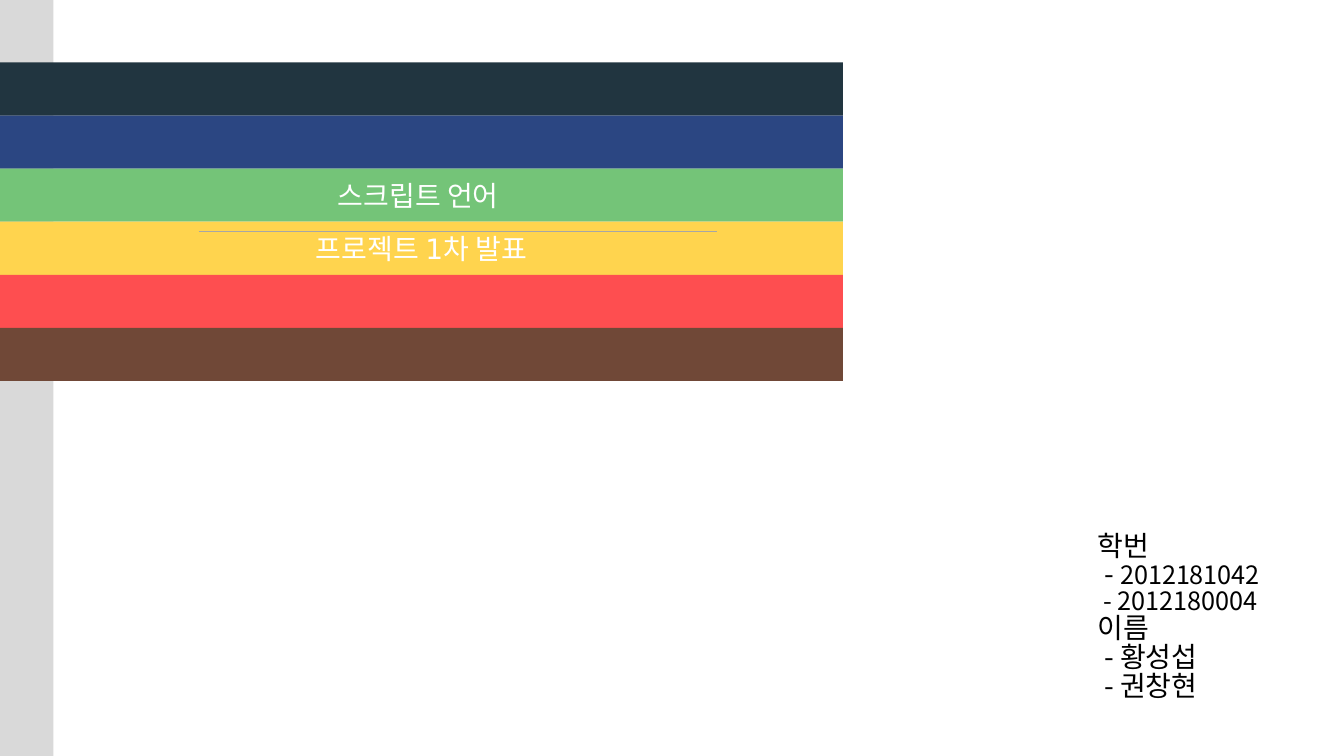
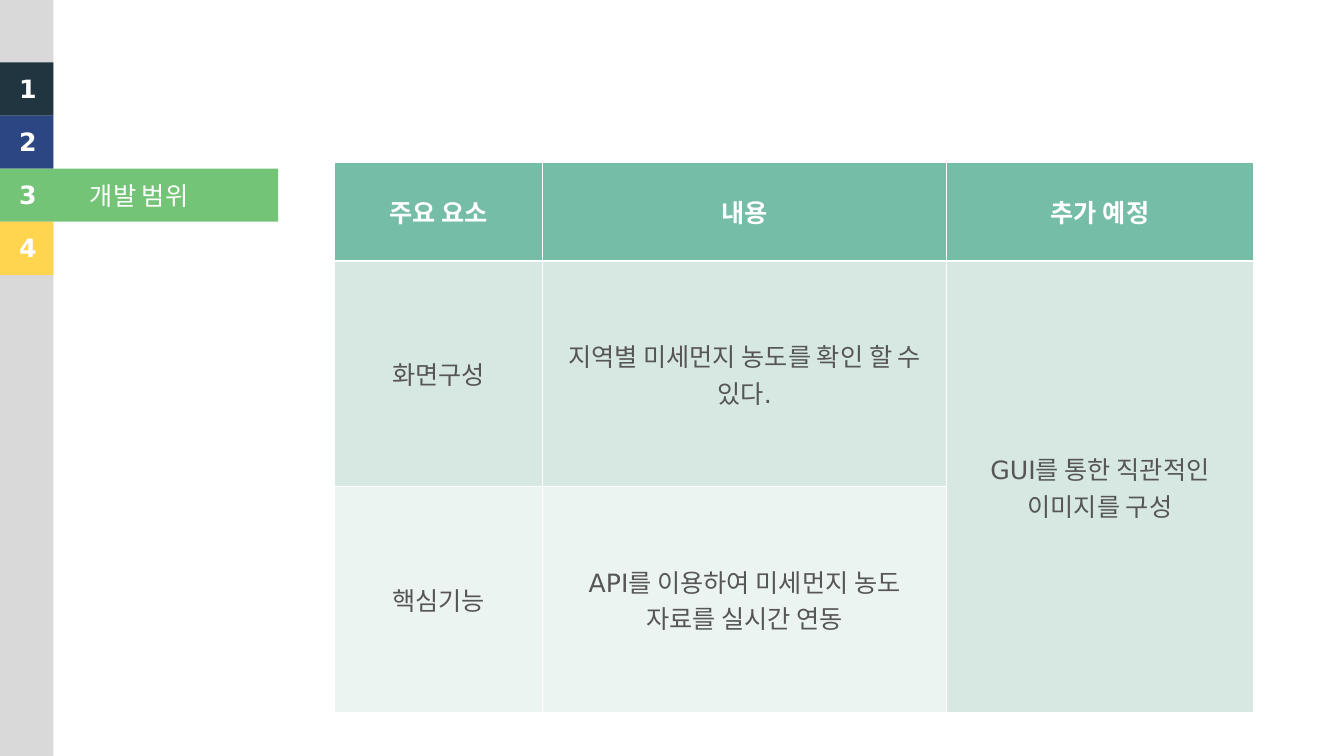
from dataclasses import dataclass

from lxml import etree
from pptx import Presentation
from pptx import util as u
from pptx.dml.color import RGBColor
from pptx.enum import shapes, text
from pptx.oxml import ns


@dataclass(frozen=True)
class Theme:
    latin: str = "DejaVu Sans"
    korean: str = "Noto Sans CJK KR"
    title_size: int = 20
    body_size: int = 18
    white: str = "FFFFFF"
    black: str = "000000"
    body: str = "565656"
    rail: str = "D9D9D9"
    rule: str = "A6A6A6"
    header: str = "75BDA7"
    row_tints: tuple[str, ...] = ("D6E8E1", "ECF4F1")
    bands: tuple[str, ...] = ("213540", "2B4682", "74C478", "FFD44E", "FE4E50", "704837")


@dataclass(frozen=True)
class Band:
    width: float
    label: str = ""
    number: str = ""


THEME = Theme()
RAIL_WIDTH = 0.53
BANDS_TOP, BANDS_BOTTOM = 0.62, 3.78
BAND_HEIGHT = (BANDS_BOTTOM - BANDS_TOP) / len(THEME.bands)

COVER_WIDTH = 8.36
COVER_BANDS = [Band(COVER_WIDTH, label)
               for label in ("", "", "스크립트 언어 ", "프로젝트 1차 발표", "", "")]
SCOPE_BANDS = [
    Band(RAIL_WIDTH, number="1"),
    Band(RAIL_WIDTH, number="2"),
    Band(2.76, "개발 범위", "3"),
    Band(RAIL_WIDTH, number="4"),
]

# Each line is a list of (text, size) runs.
AUTHOR_LINES = [
    [("학번", THEME.title_size)],
    [(" - ", THEME.title_size), ("2012181042", THEME.body_size)],
    [(" - 2012180004", THEME.body_size)],
    [("이름", THEME.title_size)],
    [(" - 황성섭", THEME.title_size)],
    [(" - 권창현", THEME.title_size)],
]

SCOPE_COLUMNS = (2.06, 4.01, 3.04)
SCOPE_ROW_HEIGHTS = (0.98, 2.24, 2.24)
SCOPE_ROWS = [
    ("주요 요소", "내용", "추가 예정"),
    ("화면구성", "지역별 미세먼지 농도를 확인 할 수 있다.", "GUI를 통한 직관적인 이미지를 구성"),
    ("핵심기능", "API를 이용하여 미세먼지 농도 자료를 실시간 연동", ""),
]


def rgb(value: str) -> RGBColor:
    return RGBColor.from_string(value)


def style(paragraph, size: int, color: str, bold: bool = False,
          font_name: str = THEME.latin) -> None:
    font = paragraph.font
    font.name, font.size, font.bold = font_name, u.Pt(size), bold
    font.color.rgb = rgb(color)


def add_rect(slide, left: float, top: float, width: float, height: float, fill: str):
    rect = slide.shapes.add_shape(
        shapes.MSO_SHAPE.RECTANGLE,
        u.Inches(left), u.Inches(top), u.Inches(width), u.Inches(height))
    rect.shadow.inherit = False
    rect.fill.solid()
    rect.fill.fore_color.rgb = rgb(fill)
    rect.line.fill.background()
    return rect


def add_text_box(slide, left: float, top: float, width: float, height: float, wrap: bool):
    frame = slide.shapes.add_textbox(
        u.Inches(left), u.Inches(top), u.Inches(width), u.Inches(height)).text_frame
    frame.word_wrap = wrap
    frame.auto_size = text.MSO_AUTO_SIZE.SHAPE_TO_FIT_TEXT
    return frame


def add_banded_slide(prs, bands: list[Band], label_size: int):
    """Add a slide with the grey rail and its stack of coloured bands."""
    slide = prs.slides.add_slide(prs.slide_layouts[6])
    add_rect(slide, 0, 0, RAIL_WIDTH, 7.5, THEME.rail)
    for index, (band, color) in enumerate(zip(bands, THEME.bands)):
        top = BANDS_TOP + index * BAND_HEIGHT
        strip = add_rect(slide, 0, top, band.width, BAND_HEIGHT, color)
        if band.label:
            frame = strip.text_frame
            frame.vertical_anchor = text.MSO_ANCHOR.MIDDLE
            label = frame.paragraphs[0]
            label.text = band.label
            label.alignment = text.PP_ALIGN.CENTER
            style(label, label_size, THEME.white)
        if band.number:
            number = add_text_box(slide, 0.09, top + 0.06, 0.35, 0.4, wrap=False).paragraphs[0]
            number.text = band.number
            style(number, THEME.body_size, THEME.white, bold=True)
    return slide


def add_title_rule(slide) -> None:
    rule = slide.shapes.add_connector(
        shapes.MSO_CONNECTOR.STRAIGHT,
        u.Inches(1.97), u.Inches(2.3), u.Inches(7.11), u.Inches(2.3))
    rule.line.color.rgb = rgb(THEME.rule)
    rule.line.width = u.Pt(0.5)
    etree.SubElement(rule._element.spPr, ns.qn("a:effectLst"))


def add_authors(slide) -> None:
    frame = add_text_box(slide, 10.79, 5.24, 2.16, 2.09, wrap=True)
    for index, pieces in enumerate(AUTHOR_LINES):
        line = frame.paragraphs[0] if index == 0 else frame.add_paragraph()
        line.line_spacing = 0.85
        style(line, pieces[0][1], THEME.black, font_name=THEME.korean)
        for words, size in pieces:
            run = line.add_run()
            run.text = words
            run.font.size = u.Pt(size)


def add_scope_table(slide) -> None:
    table = slide.shapes.add_table(
        len(SCOPE_ROWS), len(SCOPE_COLUMNS), u.Inches(3.32), u.Inches(1.61),
        u.Inches(sum(SCOPE_COLUMNS)), u.Inches(sum(SCOPE_ROW_HEIGHTS))).table
    for column, width in zip(table.columns, SCOPE_COLUMNS):
        column.width = u.Inches(width)
    fills = (THEME.header, *THEME.row_tints)
    for r, (values, height, fill) in enumerate(zip(SCOPE_ROWS, SCOPE_ROW_HEIGHTS, fills)):
        table.rows[r].height = u.Inches(height)
        is_header = r == 0
        for c, value in enumerate(values):
            cell = table.cell(r, c)
            cell.fill.solid()
            cell.fill.fore_color.rgb = rgb(fill)
            cell.vertical_anchor = text.MSO_ANCHOR.MIDDLE
            paragraph = cell.text_frame.paragraphs[0]
            paragraph.text = value
            paragraph.alignment = text.PP_ALIGN.CENTER
            style(paragraph, THEME.body_size,
                  THEME.white if is_header else THEME.body, bold=is_header)
    table.cell(1, 2).merge(table.cell(2, 2))


def main() -> None:
    prs = Presentation()
    prs.slide_width, prs.slide_height = u.Inches(13.33), u.Inches(7.5)

    cover = add_banded_slide(prs, COVER_BANDS, THEME.title_size)
    add_title_rule(cover)
    add_authors(cover)

    scope = add_banded_slide(prs, SCOPE_BANDS, THEME.body_size)
    add_scope_table(scope)

    prs.save("out.pptx")


if __name__ == "__main__":
    main()
